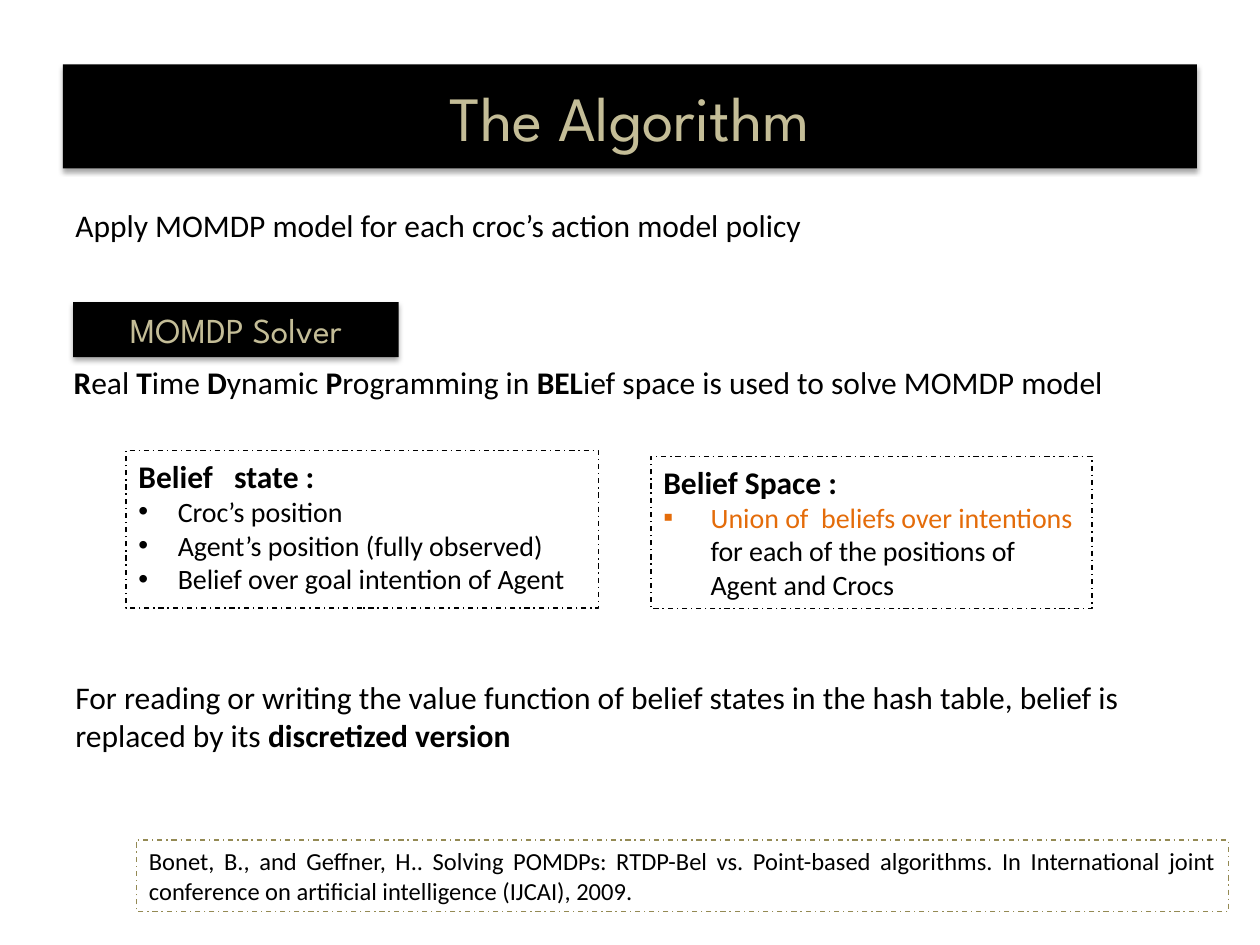
from dataclasses import dataclass

from lxml.etree import SubElement
from pptx import Presentation
from pptx.dml.color import RGBColor
from pptx.enum.dml import MSO_LINE
from pptx.enum.shapes import MSO_SHAPE
from pptx.enum.text import MSO_ANCHOR, PP_ALIGN
from pptx.oxml.ns import qn
from pptx.util import Pt


@dataclass(frozen=True)
class Theme:
    """Colours, fonts and type sizes of the slide."""
    ink: str = "000000"
    sand: str = "C4BD97"
    olive: str = "948A54"
    orange: str = "E46C0A"
    body_font: str = "Calibri"
    head_font: str = "League Spartan"
    title: int = 36
    heading: int = 20
    body: int = 18
    item: int = 16
    note: int = 14


T = Theme()


def rgb(value):
    """Turn a hex string into a colour."""
    return RGBColor.from_string(value)


def add_run(p, text, size=T.body, color=T.ink, font=T.body_font, bold=False):
    """Add one formatted run to a paragraph."""
    r = p.add_run()
    r.text = text
    r.font.size, r.font.name, r.font.bold = Pt(size), font, bold
    r.font.color.rgb = rgb(color)


def add_text(tf, *runs, align=PP_ALIGN.LEFT, bullet=None, indent=0, **fmt):
    """Add a paragraph of strings or (string, overrides) pairs to a frame."""
    tf.word_wrap = True
    p = tf.paragraphs[0]
    if p.runs:
        p = tf.add_paragraph()
    p.alignment = align
    if bullet:
        pPr = p._p.get_or_add_pPr()
        pPr.set("marL", str(Pt(indent)))
        pPr.set("indent", str(-Pt(indent)))
        SubElement(pPr, qn("a:buFont"), typeface="Arial")
        SubElement(pPr, qn("a:buChar"), char=bullet)
    for run in runs:
        text, extra = (run, {}) if isinstance(run, str) else run
        add_run(p, text, **{**fmt, **extra})


def add_shadow(s):
    """Give a shape a soft shadow straight below it."""
    s.shadow.inherit = False
    effects = s._element.spPr.find(qn("a:effectLst"))
    outer = SubElement(effects, qn("a:outerShdw"), blurRad=str(Pt(3.1)),
                       dist=str(Pt(1.8)), dir="5400000", rotWithShape="0")
    color = SubElement(outer, qn("a:srgbClr"), val=T.ink)
    SubElement(color, qn("a:alpha"), val="35000")


def add_box(slide, box):
    """Add a plain rectangle in a box given in points."""
    s = slide.shapes.add_shape(MSO_SHAPE.RECTANGLE, *map(Pt, box))
    s.shadow.inherit = False
    return s


def banner(slide, box, text, size):
    """Place a black heading bar with a shadow."""
    s = add_box(slide, box)
    s.fill.solid()
    s.fill.fore_color.rgb = rgb(T.ink)
    s.line.fill.background()
    add_shadow(s)
    s.text_frame.vertical_anchor = MSO_ANCHOR.MIDDLE
    add_text(s.text_frame, text, align=PP_ALIGN.CENTER, size=size,
             color=T.sand, font=T.head_font)


def dashed_panel(slide, box, color=T.ink):
    """Place an unfilled dash-dot frame and return its text frame."""
    s = add_box(slide, box)
    s.fill.background()
    s.line.color.rgb = rgb(color)
    s.line.width = Pt(0.75)
    s.line.dash_style = MSO_LINE.DASH_DOT
    s.text_frame.vertical_anchor = MSO_ANCHOR.TOP
    return s.text_frame


def statement(slide, box, *runs):
    """Place a body sentence."""
    add_text(slide.shapes.add_textbox(*map(Pt, box)).text_frame, *runs)


def belief_state(slide, box):
    """Place the panel listing what a belief state holds."""
    tf = dashed_panel(slide, box)
    add_text(tf, "Belief   state :", align=PP_ALIGN.JUSTIFY, bold=True)
    for item in ("Croc’s position", "Agent’s position (fully observed)",
                 "Belief over goal intention of Agent"):
        add_text(tf, item, align=PP_ALIGN.JUSTIFY, bullet="•", indent=22.5,
                 size=T.item)


def belief_space(slide, box):
    """Place the panel defining the belief space."""
    tf = dashed_panel(slide, box)
    add_text(tf, "Belief Space :", align=PP_ALIGN.JUSTIFY, bold=True)
    add_text(tf, ("Union of  beliefs over intentions", {"color": T.orange}),
             " for each of the positions of Agent and Crocs",
             bullet="▪", indent=27, size=T.item)


def citation(slide, box):
    """Place the framed reference."""
    add_text(dashed_panel(slide, box, T.olive),
             "Bonet, B., and Geffner, H.. Solving POMDPs: RTDP-Bel vs. "
             "Point-based algorithms. In International joint conference on "
             "artificial intelligence (IJCAI), 2009.",
             align=PP_ALIGN.JUSTIFY, size=T.note)


def main():
    """Build the slide and save it."""
    prs = Presentation()
    prs.slide_width, prs.slide_height = Pt(720), Pt(540)
    slide = prs.slides.add_slide(prs.slide_layouts[6])
    bold = {"bold": True}

    banner(slide, (36, 36.8, 648, 59.5), "The Algorithm", T.title)
    statement(slide, (36, 114, 576, 29),
              "Apply MOMDP model for each croc’s action model policy")
    banner(slide, (41.8, 172.6, 186, 31.5), "MOMDP Solver", T.heading)
    statement(slide, (35, 204, 654, 29),
              ("R", bold), "eal ", ("T", bold), "ime ", ("D", bold), "ynamic ",
              ("P", bold), "rogramming in ", ("BEL", bold),
              "ief space is used to solve MOMDP model")
    belief_state(slide, (72, 257.5, 270, 90))
    belief_space(slide, (372, 260.8, 252, 87))
    statement(slide, (36, 384, 648, 51),
              "For reading or writing the value function of belief states in "
              "the hash table, belief is replaced by its ",
              ("discretized version", bold))
    citation(slide, (78, 480, 624, 41))
    prs.save("out.pptx")


if __name__ == "__main__":
    main()
